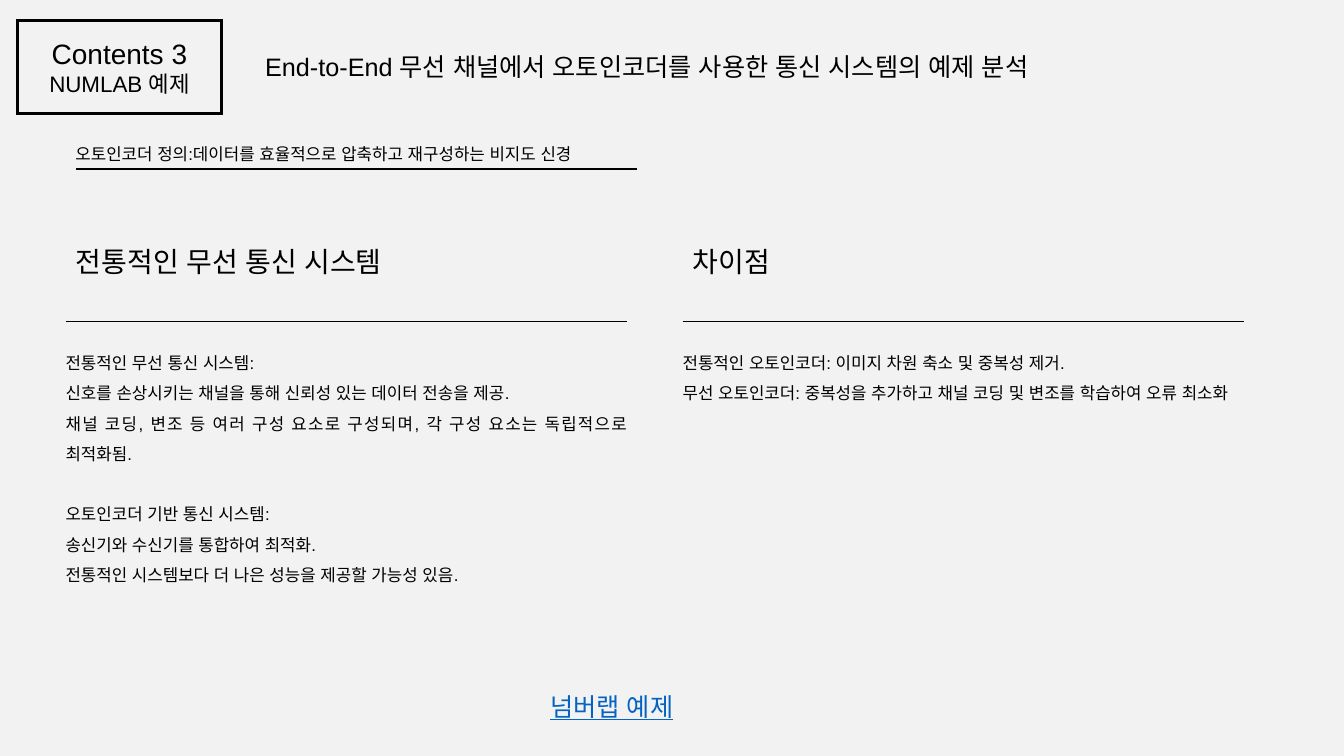
from lxml.etree import SubElement
from pptx import Presentation
from pptx.dml.color import RGBColor
from pptx.enum.shapes import MSO_CONNECTOR as CONN, MSO_SHAPE as SHAPE
from pptx.enum.text import MSO_ANCHOR as ANCHOR, MSO_AUTO_SIZE as FIT, PP_ALIGN as ALIGN
from pptx.oxml.ns import qn
from pptx.util import Inches, Pt

BLACK = RGBColor(0x00, 0x00, 0x00)
PAPER = RGBColor(0xF2, 0xF2, 0xF2)
LINK_BLUE = RGBColor(0x05, 0x63, 0xC1)
INSET = 0.1
RULE_WIDTH = 5.57


def write(sp, lines, size, font="Arial", color=BLACK, align=ALIGN.LEFT,
          spacing=1.0, underline=False, anchor=ANCHOR.TOP, gaps=()):
    tf = sp.text_frame
    frame_format = {"word_wrap": True, "auto_size": FIT.NONE, "vertical_anchor": anchor,
                    "margin_left": Inches(INSET), "margin_right": Inches(INSET),
                    "margin_top": Inches(0.05), "margin_bottom": Inches(0.05)}
    for name, value in frame_format.items():
        setattr(tf, name, value)
    sizes = size if isinstance(size, tuple) else (size,) * len(lines)
    for i, (line, pt) in enumerate(zip(lines, sizes)):
        p = tf.paragraphs[0] if i == 0 else tf.add_paragraph()
        before = Pt(21.6) if i in gaps else Pt(0)
        for name, value in {"alignment": align, "line_spacing": spacing,
                            "space_before": before, "space_after": Pt(0)}.items():
            setattr(p, name, value)
        pPr = p._p.get_or_add_pPr()
        pPr.set("marL", "0")
        pPr.set("indent", "0")
        SubElement(pPr, qn("a:buNone"))
        r = p.add_run()
        r.text = line
        for name, value in {"name": font, "size": Pt(pt), "bold": False,
                            "underline": underline}.items():
            setattr(r.font, name, value)
        r.font.color.rgb = color
        SubElement(r._r.get_or_add_rPr(), qn("a:ea"), typeface=font)


def place(sp, left, top, width, height):
    for name, value in {"left": left, "top": top, "width": width, "height": height}.items():
        setattr(sp, name, Inches(value))
    return sp


def add_text(slide, left, top, width, height):
    return slide.shapes.add_textbox(Inches(left), Inches(top), Inches(width), Inches(height))


def add_rule(slide, left, top):
    line = slide.shapes.add_connector(CONN.STRAIGHT, Inches(left), Inches(top),
                                      Inches(left + RULE_WIDTH), Inches(top))
    line.line.color.rgb = BLACK
    line.line.width = Pt(1.25)
    SubElement(line._element.spPr, qn("a:effectLst"))


def add_badge(slide, left, top, width, height):
    sp = slide.shapes.add_shape(SHAPE.RECTANGLE, Inches(left), Inches(top),
                                Inches(width), Inches(height))
    sp.shadow.inherit = False
    sp.fill.background()
    sp.line.color.rgb = BLACK
    sp.line.width = Pt(2)
    SubElement(sp._element.spPr.find(qn("a:ln")), qn("a:miter"), lim="800000")
    write(sp, ["Contents 3", "NUMLAB 예제"], (20, 16), align=ALIGN.CENTER, anchor=ANCHOR.MIDDLE)


def add_definition(slide, left, top, width, height):
    sp = add_text(slide, left, top, width, height)
    write(sp, ["오토인코더 정의:데이터를 효율적으로 압축하고 재구성하는 비지도 신경"],
          12, align=ALIGN.JUSTIFY)
    add_rule(slide, left + INSET, top + height)


def add_column(slide, heading_sp, body_sp, left, top, body_height, heading, lines, gaps=()):
    place(heading_sp, left + INSET, top, 4.16, 0.44)
    write(heading_sp, [heading], 20, font="Lato")
    add_rule(slide, left + INSET, top + 0.81)
    place(body_sp, left, top + 0.97, RULE_WIDTH + 2 * INSET, body_height)
    write(body_sp, lines, 12, align=ALIGN.JUSTIFY, spacing=1.5, gaps=gaps)


def build_comparison(prs):
    slide = prs.slides.add_slide(prs.slide_layouts[4])
    slide.background.fill.solid()
    slide.background.fill.fore_color.rgb = PAPER
    title, left_heading, left_body, right_heading, right_body = slide.placeholders

    add_badge(slide, 0.17, 0.2, 2.03, 0.93)
    place(title, 2.53, 0.46, 8.83, 0.4)
    write(title, ["End-to-End 무선 채널에서 오토인코더를 사용한 통신 시스템의 예제 분석"], 18)
    add_definition(slide, 0.65, 1.38, 5.77, 0.3)

    add_column(slide, left_heading, left_body, 0.55, 2.38, 2.18, "전통적인 무선 통신 시스템", [
        "전통적인 무선 통신 시스템:",
        "신호를 손상시키는 채널을 통해 신뢰성 있는 데이터 전송을 제공.",
        "채널 코딩, 변조 등 여러 구성 요소로 구성되며, 각 구성 요소는 독립적으로 최적화됨.",
        "오토인코더 기반 통신 시스템:",
        "송신기와 수신기를 통합하여 최적화.",
        "전통적인 시스템보다 더 나은 성능을 제공할 가능성 있음.",
    ], gaps=(3,))
    add_column(slide, right_heading, right_body, 6.67, 2.38, 0.67, "차이점", [
        "전통적인 오토인코더: 이미지 차원 축소 및 중복성 제거.",
        "무선 오토인코더: 중복성을 추가하고 채널 코딩 및 변조를 학습하여 오류 최소화",
    ])

    example = add_text(slide, 5.36, 6.81, 1.59, 0.4)
    write(example, ["넘버랩 예제"], 18, color=LINK_BLUE, underline=True)


def main():
    prs = Presentation()
    prs.slide_width = Inches(13.33)
    prs.slide_height = Inches(7.5)
    build_comparison(prs)
    prs.save("out.pptx")


if __name__ == "__main__":
    main()
